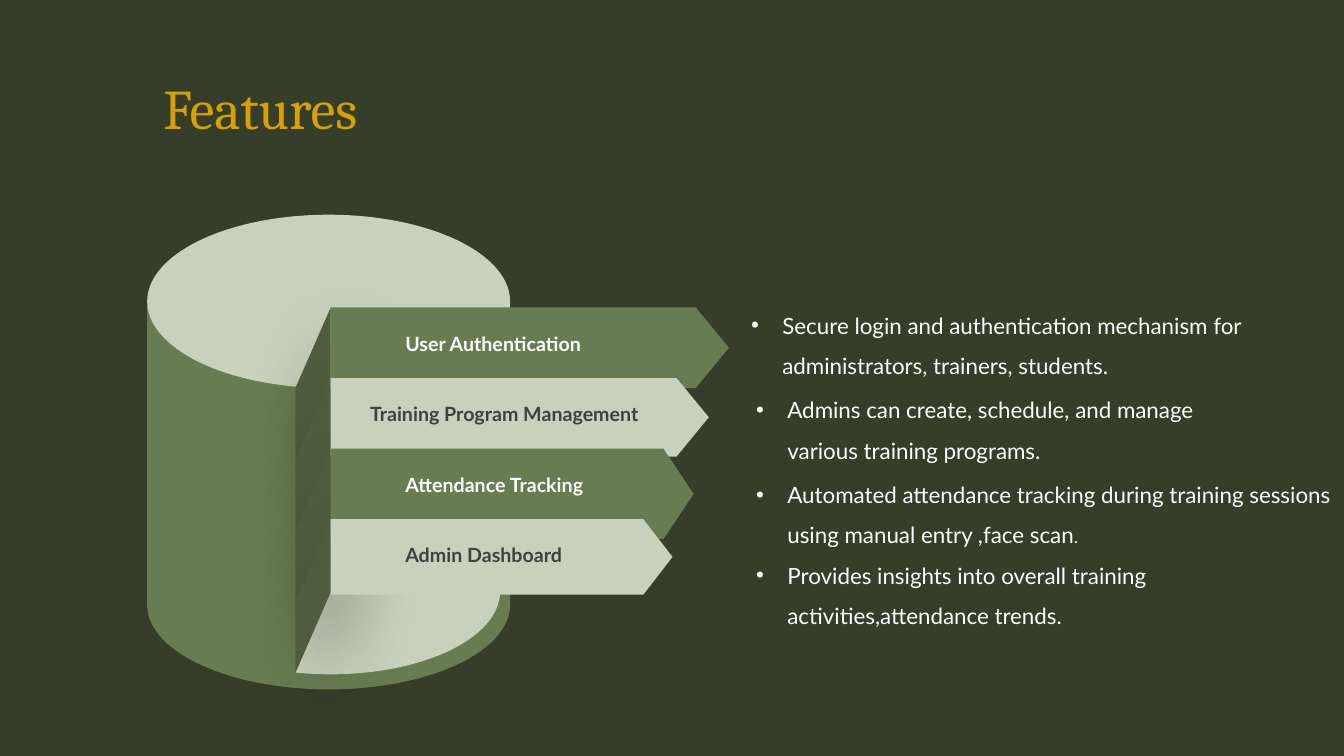
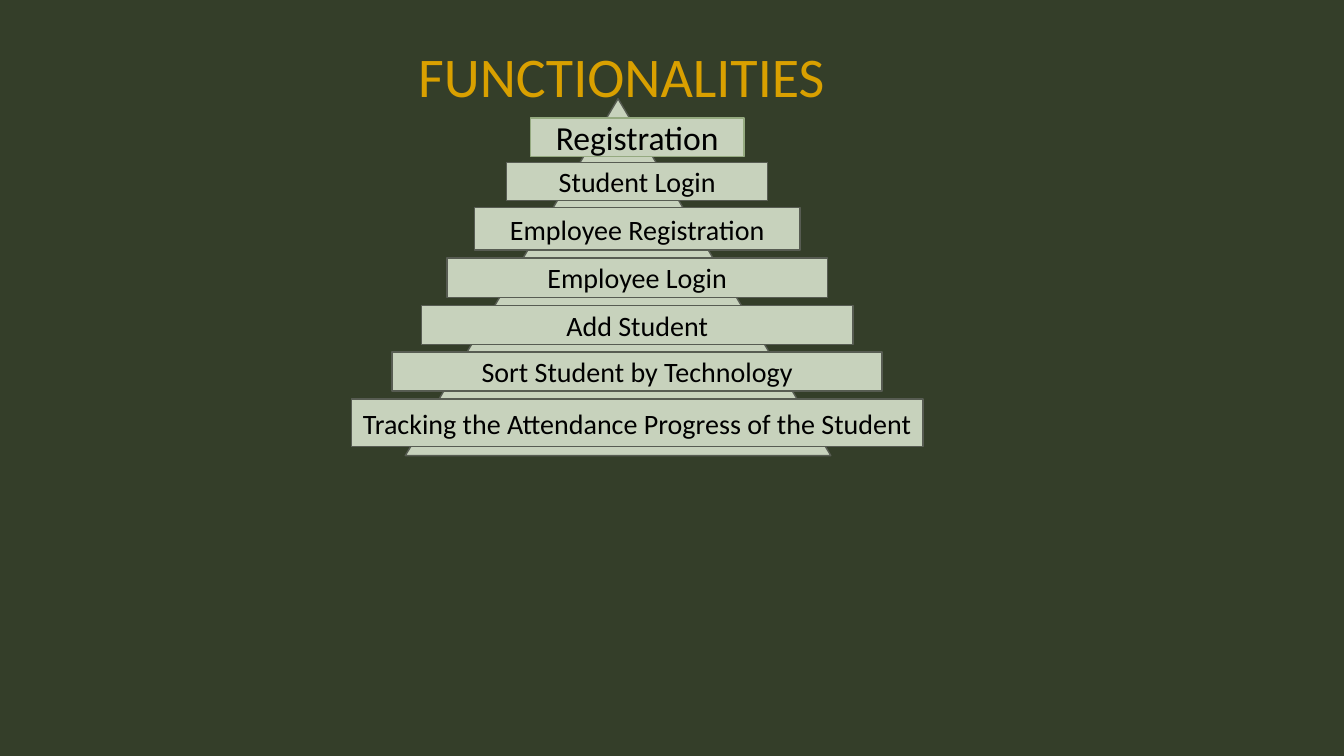
import math

import pptx
import pptx.dml.color
import pptx.enum.shapes
import pptx.enum.text
import pptx.oxml
import pptx.oxml.ns
import pptx.util
from pptx.util import Inches

RGBColor = pptx.dml.color.RGBColor
SHAPE = pptx.enum.shapes.MSO_SHAPE
ANCHOR = pptx.enum.text.MSO_ANCHOR
ALIGN = pptx.enum.text.PP_ALIGN

BACKGROUND = RGBColor(0x34, 0x3E, 0x29)
GREEN = RGBColor(0x68, 0x7C, 0x51)
DARK_GREEN = RGBColor(0x4E, 0x5D, 0x3D)
PALE = RGBColor(0xC7, 0xD2, 0xBC)
GOLD = RGBColor(0xD9, 0xA0, 0x00)
WHITE = RGBColor(0xFF, 0xFF, 0xFF)
CHARCOAL = RGBColor(0x40, 0x40, 0x40)
BLACK = RGBColor(0x00, 0x00, 0x00)
OUTLINE = RGBColor(0x57, 0x5C, 0x52)
LIGHT_OUTLINE = RGBColor(0x95, 0xAA, 0x80)

TITLE_SIZE = 40

# label, label offset, label width, shoulder, tip, height, fill, text colour
ARROWS = [
    ("User Authentication", 0.74, 1.96, 3.62, 3.95, 0.80, GREEN, WHITE),
    ("Training Program Management", 0.39, 2.69, 3.43, 3.75, 0.78, PALE, CHARCOAL),
    ("Attendance Tracking", 0.74, 1.96, 3.30, 3.60, 0.90, GREEN, WHITE),
    ("Admin Dashboard", 0.74, 1.96, 3.10, 3.39, 0.75, PALE, CHARCOAL),
]
# left and top offset, width, text
DETAILS = [
    (0, 0, 5.25, "Secure login and authentication mechanism for "
                 "administrators, trainers, students."),
    (0.05, 0.84, 5.0, "Admins can create, schedule, and manage "
                      "various training programs."),
    (0.05, 1.68, 5.7, "Automated attendance tracking during training sessions "
                      "using manual entry ,face scan"),
    (0.05, 2.48, 5.59, "Provides insights into overall training "
                       "activities,attendance trends."),
]
# label, top offset, width, height, text size, line colour
BARS = [
    ("Registration", 0.19, 2.12, 0.38, 24, LIGHT_OUTLINE),
    ("Student Login", 0.63, 2.59, 0.38, 20, OUTLINE),
    ("Employee Registration", 1.08, 3.23, 0.42, 20, OUTLINE),
    ("Employee Login", 1.58, 3.77, 0.39, 20, OUTLINE),
    ("Add Student", 2.05, 4.28, 0.39, 20, OUTLINE),
    ("Sort Student by Technology", 2.51, 4.86, 0.39, 20, OUTLINE),
    ("Tracking the Attendance Progress of the Student", 2.98, 5.67, 0.47, 20, OUTLINE),
]


def paint(shape, fill, line=None):
    shape.shadow.inherit = False
    shape.fill.solid()
    shape.fill.fore_color.rgb = fill
    if line is None:
        shape.line.fill.background()
    else:
        shape.line.color.rgb = line
        shape.line.width = pptx.util.Pt(1)


def add_preset(page, kind, left, top, width, height, fill, line=None):
    shape = page.shapes.add_shape(
        kind, Inches(left), Inches(top), Inches(width), Inches(height))
    paint(shape, fill, line)
    return shape


def add_outline(page, points, fill):
    corners = [(Inches(x), Inches(y)) for x, y in points]
    builder = page.shapes.build_freeform(*corners[0])
    builder.add_line_segments(corners[1:], close=True)
    shape = builder.convert_to_shape()
    paint(shape, fill)
    return shape


def arc(centre_x, centre_y, radius_x, radius_y, end_degrees, steps=60):
    """Points of an elliptic arc, clockwise from the right."""
    angles = [math.radians(end_degrees * step / steps) for step in range(steps + 1)]
    return [(centre_x + radius_x * math.cos(a), centre_y + radius_y * math.sin(a))
            for a in angles]


def add_soft_shadow(shape):
    effects = shape._element.spPr.find(pptx.oxml.ns.qn("a:effectLst"))
    effects.append(pptx.oxml.parse_xml(
        f'<a:outerShdw {pptx.oxml.ns.nsdecls("a")} blurRad="{pptx.util.Pt(52)}" '
        f'dist="{pptx.util.Pt(20)}" dir="2700000" algn="tl" rotWithShape="0">'
        '<a:srgbClr val="000000"><a:alpha val="40000"/></a:srgbClr></a:outerShdw>'))


def style_para(para, text, font, size, color, bold=False):
    para.add_run().text = text
    para.font.name = font
    para.font.size = pptx.util.Pt(size)
    para.font.color.rgb = color
    para.font.bold = bold


def add_text(page, left, top, width, height, text, font, size, color,
             bold=False, bullet=False, inset=0):
    box = page.shapes.add_textbox(
        Inches(left), Inches(top), Inches(width), Inches(height))
    frame = box.text_frame
    frame.word_wrap = True
    frame.auto_size = pptx.enum.text.MSO_AUTO_SIZE.SHAPE_TO_FIT_TEXT
    frame.margin_left = frame.margin_right = Inches(inset)
    frame.margin_top = frame.margin_bottom = Inches(inset / 2)
    para = frame.paragraphs[0]
    if bullet:
        properties = para._p.get_or_add_pPr()
        properties.set("marL", str(Inches(0.31)))
        properties.set("indent", str(-Inches(0.31)))
        for mark in ('buFont {} typeface="Arial"', 'buChar {} char="•"'):
            mark = mark.format(pptx.oxml.ns.nsdecls("a"))
            properties.append(pptx.oxml.parse_xml(f"<a:{mark}/>"))
        para.line_spacing = 1.5
    style_para(para, text, font, size, color, bold)
    return frame


def draw_cylinder(page, left, top):
    """Cylinder with a wedge cut out; its cut edge is at left + 1.82."""
    radius = 1.8
    middle, base = left + radius, top + 3.87
    rim = top + 0.9
    add_outline(page, [(left, rim), (left + 2 * radius, rim)]
                + arc(middle, base, radius, 0.84, 180), GREEN)
    add_preset(page, SHAPE.OVAL, left, top, 2 * radius, 1.72, PALE)

    # Floor and inner wall of the cut
    inner, outer = left + 1.82, left + 1.47
    floor = top + 3.74
    add_outline(page, [(inner, floor)] + arc(inner, floor, 1.68, 0.82, 102), PALE)
    for row in range(4):
        edge = top + 0.92 + 0.705 * row
        wall = [(inner, edge), (outer, edge + 0.8),
                (outer, edge + 1.51), (inner, edge + 0.71)]
        add_soft_shadow(add_outline(page, wall, DARK_GREEN))


def draw_arrows(page, left, top):
    for row, (label, offset, width, shoulder, tip, height, fill, color) in enumerate(ARROWS):
        edge = top + 0.7 * row
        bottom = edge + height
        add_outline(page, [(left, edge), (left + shoulder, edge),
                           (left + tip, edge + height / 2),
                           (left + shoulder, bottom), (left, bottom)], fill)
        add_text(page, left + offset, edge + 0.24, width, 0.24, label,
                 "Lato", 14, color, bold=True)


def draw_details(page, left, top):
    for x, y, width, text in DETAILS:
        frame = add_text(page, left + x, top + y, width, 0.75, text,
                         "Lato", 16, WHITE, bullet=True)
        if not text.endswith("."):
            stop = frame.paragraphs[0].add_run()
            stop.text = "."
            stop.font.size = pptx.util.Pt(12)


def draw_pyramid(page, left, top):
    add_preset(page, SHAPE.ISOSCELES_TRIANGLE, left, top, 4.22, 3.54, PALE, OUTLINE)
    middle = left + 2.3
    for label, y, width, height, size, line in BARS:
        bar = add_preset(page, SHAPE.RECTANGLE, middle - width / 2, top + y,
                         width, height, PALE, line)
        frame = bar.text_frame
        frame.word_wrap = True
        frame.vertical_anchor = ANCHOR.MIDDLE
        para = frame.paragraphs[0]
        para.alignment = ALIGN.CENTER
        style_para(para, label, "Calibri", size, BLACK)


def add_page(deck):
    return deck.slides.add_slide(deck.slide_layouts[6])


def build_features(deck):
    page = add_page(deck)
    draw_cylinder(page, 1.46, 2.13)
    draw_arrows(page, 3.28, 3.05)
    draw_details(page, 7.45, 2.96)
    title = add_text(page, 1.62, 0.78, 10.1, 0.62, "Features",
                     "Cambria", TITLE_SIZE, GOLD)
    title.vertical_anchor = ANCHOR.MIDDLE
    title.paragraphs[0].line_spacing = pptx.util.Pt(44)


def build_functionalities(deck):
    page = add_page(deck)
    draw_pyramid(page, 4.02, 0.98)
    add_text(page, 4.05, 0.36, 4.54, 0.77, "FUNCTIONALITIES",
             "Calibri", TITLE_SIZE, GOLD, inset=0.1)


def main():
    deck = pptx.Presentation()
    deck.slide_width, deck.slide_height = Inches(13.33), Inches(7.5)
    backdrop = deck.slide_master.background.fill
    backdrop.solid()
    backdrop.fore_color.rgb = BACKGROUND
    build_features(deck)
    build_functionalities(deck)
    deck.save("out.pptx")


if __name__ == "__main__":
    main()
